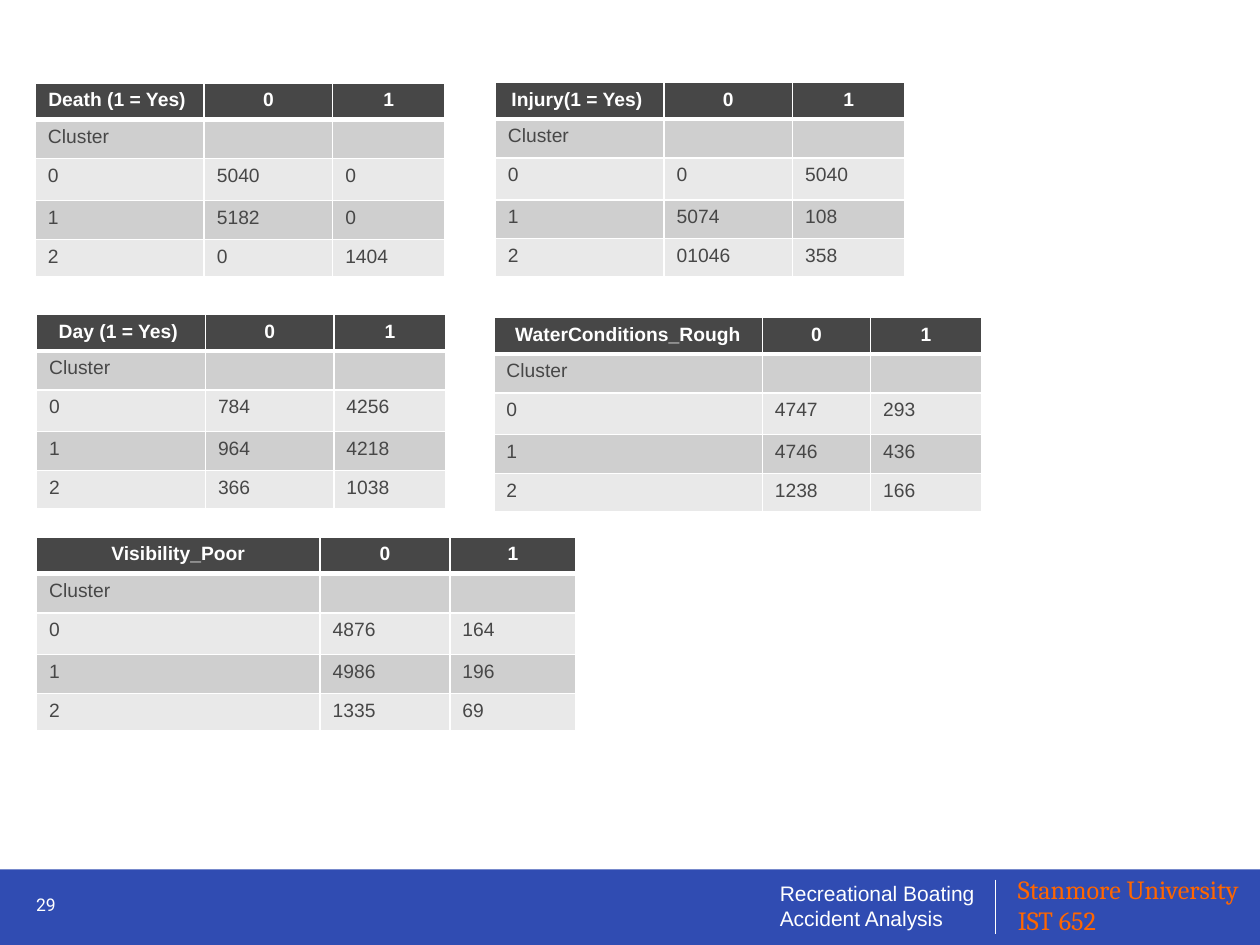
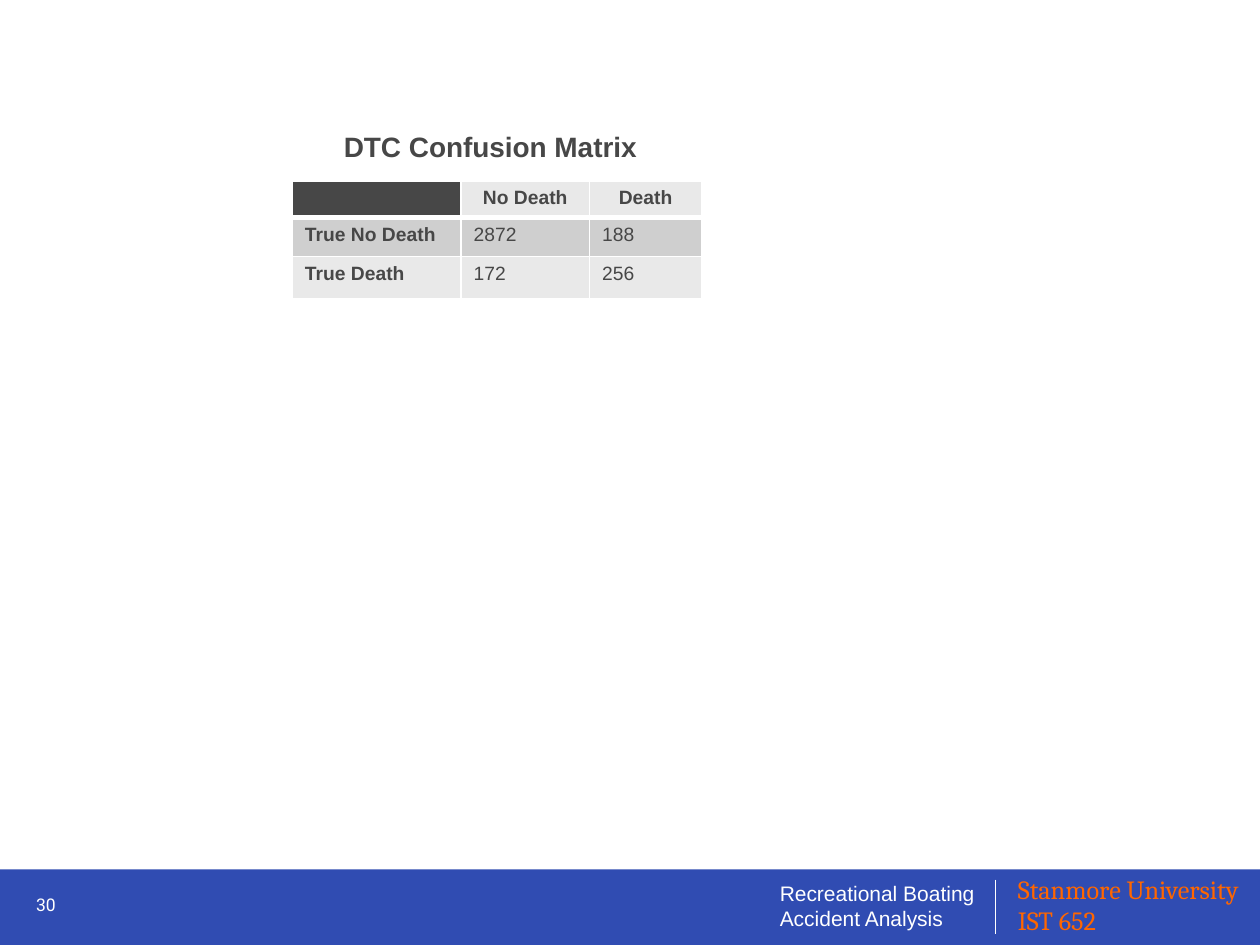
"""Build two slides of boating accident cluster tables and a confusion matrix."""
from lxml import etree
from pptx import Presentation
from pptx import util as u
from pptx.dml.color import RGBColor
from pptx.enum import shapes, text
from pptx.oxml import ns

COLORS = {"band": "304CB2", "white": "FFFFFF", "orange": "FF6600",
          "dark": "474747", "mid": "CFCFCF", "light": "E9E9E9"}
WIDTH, HEIGHT = 720, 540
BAND_TOP = 496.8
ROW_HEIGHTS = [20.9, 22.3, 23.8, 22.3, 21.6]
NARROW = [96.5, 73.4, 64.1]
CELL_SIZE = 11

FOOTER_TEXTS = [
    ("Recreational Boating Accident Analysis", (438.5, 499.7, 133.2, 36),
     {"size": 12, "name": "Arial", "color": "white"}),
    ("Stanmore University IST 652", (574.6, 495.4, 152.6, 43.9),
     {"size": 15, "name": "Cambria", "color": "orange"}),
]
NUMBER_BOX = (5.8, 501.8, 33.1, 30.2)
NUMBER_FORMAT = {"size": 10, "name": "Roboto", "color": "white"}

CLUSTER_TABLES = [
    ("Death (1 = Yes) ", (20.2, 47.5), NARROW,
     [("5040", "0"), ("5182", "0"), ("0", "1404")]),
    ("Injury(1 = Yes) ", (283, 47.2), NARROW,
     [("0", "5040"), ("5074", "108"), ("01046", "358")]),
    ("Day (1 = Yes) ", (20.9, 179.6), NARROW,
     [("784", "4256"), ("964", "4218"), ("366", "1038")]),
    ("WaterConditions_Rough", (282.2, 181.4), [153.4, 61.9, 63.4],
     [("4747", "293"), ("4746", "436"), ("1238", "166")]),
    ("Visibility_Poor", (20.9, 307), [162, 74.2, 72],
     [("4876", "164"), ("4986", "196"), ("1335", "69")]),
]

MATRIX_TITLE = "DTC Confusion Matrix"
MATRIX_TITLE_BOX = (189.4, 70.6, 184.3, 26.6)
MATRIX_TITLE_FORMAT = {"size": 16, "name": "Arial", "color": "dark", "bold": True}
MATRIX_POSITION = (167, 103.5)
MATRIX_ROWS = [("", "No Death", "Death"),
               ("True No Death", "2872", "188"),
               ("True Death", "172", "256")]


def points(values):
    return [u.Pt(value) for value in values]


def rgb(name):
    return RGBColor.from_string(COLORS[name])


def write(paragraph, words, formats, align=text.PP_ALIGN.LEFT):
    paragraph.alignment = align
    run = paragraph.add_run()
    run.text = words
    for key, value in formats.items():
        if key == "color":
            run.font.color.rgb = rgb(value)
        else:
            setattr(run.font, key, u.Pt(value) if key == "size" else value)


def add_text(slide, words, box, formats, wrap=True, **layout):
    frame = slide.shapes.add_textbox(*points(box)).text_frame
    frame.word_wrap = wrap
    frame.vertical_anchor = layout.get("anchor", text.MSO_ANCHOR.TOP)
    write(frame.paragraphs[0], words, formats, layout.get("align", text.PP_ALIGN.LEFT))


def add_footer(slide, number):
    band = slide.shapes.add_shape(shapes.MSO_SHAPE.RECTANGLE,
                                  *points((0, BAND_TOP, WIDTH, HEIGHT - BAND_TOP)))
    band.shadow.inherit = False
    band.fill.solid()
    band.fill.fore_color.rgb = rgb("band")
    band.line.fill.background()
    divider = slide.shapes.add_connector(shapes.MSO_CONNECTOR.STRAIGHT,
                                         *points((568.8, 502.6, 568.8, 533.5)))
    divider.line.color.rgb = rgb("white")
    divider.line.width = u.Pt(0.75)
    etree.SubElement(divider._element.spPr, ns.qn("a:effectLst"))
    for words, box, formats in FOOTER_TEXTS:
        add_text(slide, words, box, formats)
    add_text(slide, str(number), NUMBER_BOX, NUMBER_FORMAT,
             anchor=text.MSO_ANCHOR.MIDDLE, align=text.PP_ALIGN.RIGHT)


def add_borders(cell, row):
    properties = cell._tc.get_or_add_tcPr()
    widths = {"lnL": 1, "lnR": 1, "lnT": 3 if row == 1 else 1, "lnB": 3 if row == 0 else 1}
    for tag, width in widths.items():
        line = etree.SubElement(properties, ns.qn(f"a:{tag}"), w=str(u.Pt(width)))
        fill = etree.SubElement(line, ns.qn("a:solidFill"))
        etree.SubElement(fill, ns.qn("a:srgbClr"), val=COLORS["white"])


def add_grid(slide, position, widths, rows, style):
    heights = ROW_HEIGHTS[:len(rows)]
    frame = slide.shapes.add_table(len(rows), len(widths),
                                   *points((*position, sum(widths), sum(heights))))
    table = frame.table
    for column, width in zip(table.columns, widths):
        column.width = u.Pt(width)
    for r, (values, height) in enumerate(zip(rows, heights)):
        table.rows[r].height = u.Pt(height)
        for c, words in enumerate(values):
            cell = table.cell(r, c)
            fill, color, bold = style(r, c)
            add_borders(cell, r)
            cell.fill.solid()
            cell.fill.fore_color.rgb = rgb(fill)
            paragraph = cell.text_frame.paragraphs[0]
            if words:
                write(paragraph, words,
                      {"size": CELL_SIZE, "name": "Arial", "color": color, "bold": bold},
                      text.PP_ALIGN.LEFT if r else text.PP_ALIGN.CENTER)
            else:
                etree.SubElement(paragraph._p, ns.qn("a:endParaRPr"), sz=str(CELL_SIZE * 100))


def cluster_style(row, column):
    if row == 0:
        return "dark", "white", True
    return ("mid" if row % 2 else "light"), "dark", False


def matrix_style(row, column):
    if row == 0:
        return ("light" if column else "dark"), "dark", True
    return ("mid" if row % 2 else "light"), "dark", column == 0


def add_slide(presentation, number):
    slide = presentation.slides.add_slide(presentation.slide_layouts[6])
    add_footer(slide, number)
    return slide


def main():
    presentation = Presentation()
    presentation.slide_width, presentation.slide_height = points((WIDTH, HEIGHT))

    clusters = add_slide(presentation, 29)
    for heading, position, widths, counts in CLUSTER_TABLES:
        rows = [(heading, "0", "1"), ("Cluster", "", "")]
        rows += [(str(cluster), *pair) for cluster, pair in enumerate(counts)]
        add_grid(clusters, position, widths, rows, cluster_style)

    matrix = add_slide(presentation, 30)
    add_grid(matrix, MATRIX_POSITION, NARROW, MATRIX_ROWS, matrix_style)
    add_text(matrix, MATRIX_TITLE, MATRIX_TITLE_BOX, MATRIX_TITLE_FORMAT, wrap=False)

    presentation.save("out.pptx")


if __name__ == "__main__":
    main()
